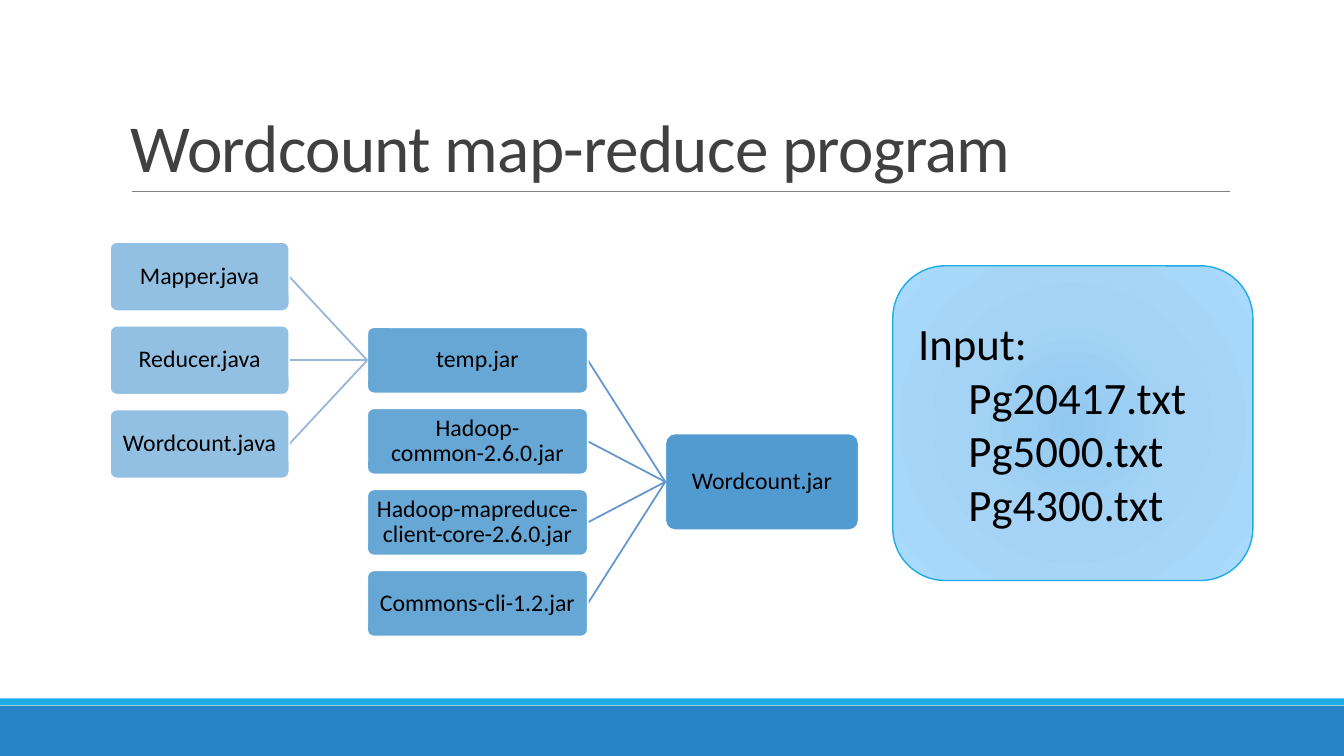
from pptx import Presentation
from pptx.dml.color import RGBColor
from pptx.enum import shapes, text
from pptx.oxml import parse_xml
from pptx.oxml.ns import nsdecls, qn
from pptx.util import Pt

FONT = "Calibri"
BLUE, CYAN, BLACK, WHITE = "2683C6", "1CADE4", "000000", "FFFFFF"
TITLE = "Wordcount map-reduce program"
INPUT_HEADING = "Input:"
INPUT_FILES = ["Pg20417.txt", "Pg5000.txt", "Pg4300.txt"]
INPUT_STOPS = [(0, "92C9F0"), (45, "A4D3F5"), (100, "A9D9FD")]
# Each stage: box labels, left, box width, box height, vertical pitch, opacity %
STAGES = [
    dict(labels=["Wordcount.jar"], left=475.2, width=138.2, height=69.1,
         pitch=0, opacity=80),
    dict(labels=["temp.jar", "Hadoop-common-2.6.0.jar",
                 "Hadoop-mapreduce-client-core-2.6.0.jar", "Commons-cli-1.2.jar"],
         left=262.3, width=157.6, height=47.3, pitch=57.9, opacity=70),
    dict(labels=["Mapper.java", "Reducer.java", "Wordcount.java"],
         left=78.5, width=128.2, height=49.4, pitch=59.8, opacity=50),
]
LINK_COLORS = ["6296CD", "99B4D9"]
HUB_MIDDLE = 344.2

prs = Presentation()
prs.slide_width, prs.slide_height = Pt(960), Pt(540)
slide = prs.slides.add_slide(prs.slide_layouts[6])


def rgb(value):
    return RGBColor.from_string(value)


def set_all(target, **values):
    for name, value in values.items():
        setattr(target, name, value)


def add_box(kind, left, top, width, height, fill=None, line=None, weight=1):
    box = slide.shapes.add_shape(kind, Pt(left), Pt(top), Pt(width), Pt(height))
    box.shadow.inherit = False
    if fill:
        box.fill.solid()
        box.fill.fore_color.rgb = rgb(fill)
    if line:
        box.line.color.rgb = rgb(line)
        box.line.width = Pt(weight)
    else:
        box.line.fill.background()
    return box


def add_link(x1, y1, x2, y2, color, weight):
    link = slide.shapes.add_connector(
        shapes.MSO_CONNECTOR.STRAIGHT, Pt(x1), Pt(y1), Pt(x2), Pt(y2))
    link.line.color.rgb = rgb(color)
    link.line.width = Pt(weight)
    link._element.spPr.append(parse_xml(f"<a:effectLst {nsdecls('a')}/>"))


def write(paragraph, words, size, color=BLACK, **layout):
    set_all(paragraph, **layout)
    run = paragraph.add_run()
    run.text = words
    set_all(run.font, size=Pt(size), name=FONT)
    run.font.color.rgb = rgb(color)
    return run


def set_opacity(box, percent):
    color = box._element.spPr.find(qn("a:solidFill"))[0]
    color.append(parse_xml(f'<a:alpha {nsdecls("a")} val="{percent * 1000}"/>'))


def set_circular_gradient(box, stops):
    marks = "".join(f'<a:gs pos="{pos * 1000}"><a:srgbClr val="{color}"/></a:gs>'
                    for pos, color in stops)
    gradient = parse_xml(
        f'<a:gradFill {nsdecls("a")} rotWithShape="1"><a:gsLst>{marks}</a:gsLst>'
        '<a:path path="circle"><a:fillToRect l="100000" t="100000" r="100000" '
        'b="100000"/></a:path></a:gradFill>')
    box._element.spPr.find(qn("a:prstGeom")).addnext(gradient)


def add_stage_box(label, left, top, stage):
    box = add_box(shapes.MSO_SHAPE.ROUNDED_RECTANGLE, left, top, stage["width"],
                  stage["height"], BLUE, WHITE, 1.25)
    box.adjustments[0] = 0.1
    set_opacity(box, stage["opacity"])
    frame = box.text_frame
    inset = Pt(2.2)
    set_all(frame, word_wrap=True, vertical_anchor=text.MSO_ANCHOR.MIDDLE,
            margin_left=inset, margin_right=inset,
            margin_top=inset, margin_bottom=inset)
    write(frame.paragraphs[0], label, 17, alignment=text.PP_ALIGN.CENTER,
          line_spacing=0.9)


# Footer bands, title and rule
add_box(shapes.MSO_SHAPE.RECTANGLE, 0, 504, 960, 36, BLUE)
add_box(shapes.MSO_SHAPE.RECTANGLE, 0, 498.8, 960, 5, CYAN)
add_link(94.3, 136.8, 878.6, 136.8, "808080", 0.5)
title = slide.shapes.add_textbox(Pt(86.4), Pt(22.3), Pt(792), Pt(114.5)).text_frame
set_all(title, word_wrap=True, vertical_anchor=text.MSO_ANCHOR.BOTTOM)
title_run = write(title.paragraphs[0], TITLE, 48, "404040", line_spacing=0.85)
title_run.font._element.set("spc", "-50")

# Tree from right to left: each stage is centred on the first box of the one before
hub_left, hub_middle = None, HUB_MIDDLE
for depth, stage in enumerate(STAGES):
    first_middle = hub_middle - stage["pitch"] * (len(stage["labels"]) - 1) / 2
    for row, label in enumerate(stage["labels"]):
        middle = first_middle + row * stage["pitch"]
        if depth:
            add_link(hub_left, hub_middle, stage["left"] + stage["width"], middle,
                     LINK_COLORS[depth - 1], 1.25)
        add_stage_box(label, stage["left"], middle - stage["height"] / 2, stage)
    hub_left, hub_middle = stage["left"], first_middle

# Input panel
panel = add_box(shapes.MSO_SHAPE.ROUNDED_RECTANGLE, 637.7, 189.9, 257.2, 224.8,
                line=CYAN)
set_circular_gradient(panel, INPUT_STOPS)
inputs = panel.text_frame
set_all(inputs, word_wrap=True, vertical_anchor=text.MSO_ANCHOR.MIDDLE)
write(inputs.paragraphs[0], INPUT_HEADING, 32, alignment=text.PP_ALIGN.LEFT)
for name in INPUT_FILES:
    entry = inputs.add_paragraph()
    write(entry, name, 32, alignment=text.PP_ALIGN.LEFT, level=1)
    entry._p.get_or_add_pPr().set("marL", str(Pt(36)))

prs.save("out.pptx")
